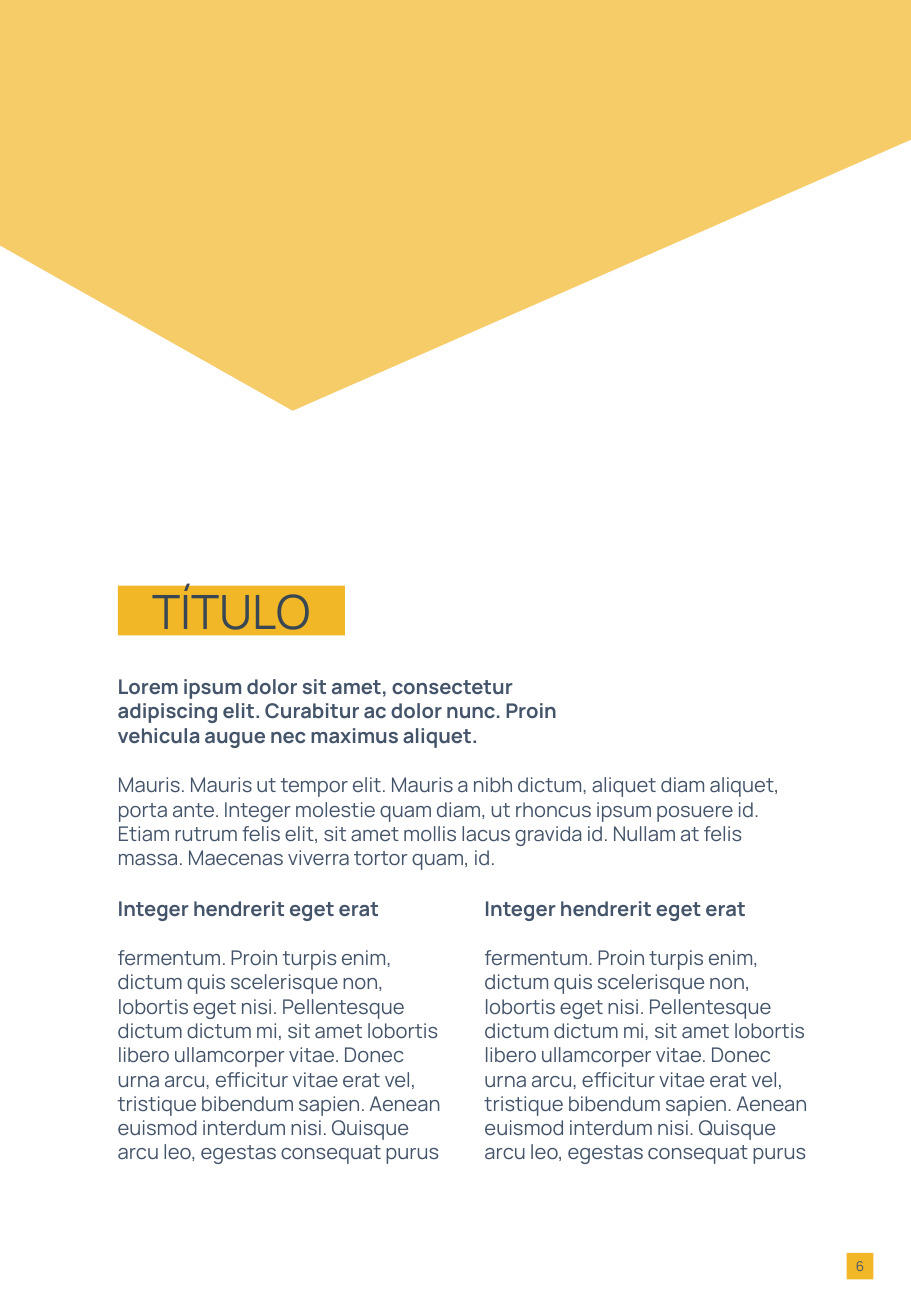
import dataclasses

import lxml.etree
import pptx
import pptx.dml.color
import pptx.enum.shapes
import pptx.enum.text
import pptx.oxml.ns
import pptx.util


@dataclasses.dataclass(frozen=True)
class Theme:
    font: str = "Manrope"
    accent: str = "F1B727"
    title_color: str = "384753"
    body_color: str = "44546A"
    title_size: int = 28
    body_size: int = 12
    number_size: int = 8
    paragraph_gap: float = 14.4
    banner_opacity: int = 70


CELL = pptx.util.Inches(0.1)
COLUMNS, ROWS = 75, 108.3
LEFT_EDGE = 8.7
COLUMN_WIDTH, COLUMN_STEP = 28.8, 30.2
COLUMN_COUNT = 2

LEAD = (
    "Lorem ipsum dolor sit amet, consectetur adipiscing elit. Curabitur ac dolor nunc. "
    "Proin vehicula augue nec maximus aliquet."
)
INTRODUCTION = (
    "Mauris. Mauris ut tempor elit. Mauris a nibh dictum, aliquet diam aliquet, porta ante. "
    "Integer molestie quam diam, ut rhoncus ipsum posuere id. Etiam rutrum felis elit, sit amet "
    "mollis lacus gravida id. Nullam at felis massa. Maecenas viverra tortor quam, id."
)
COLUMN_HEADING = "Integer hendrerit eget erat"
COLUMN_TEXT = (
    "fermentum. Proin turpis enim, dictum quis scelerisque non, lobortis eget nisi. Pellentesque "
    "dictum dictum mi, sit amet lobortis libero ullamcorper vitae. Donec urna arcu, efficitur "
    "vitae erat vel, tristique bibendum sapien. Aenean euismod interdum nisi. Quisque arcu leo, "
    "egestas consequat purus"
)


def rgb(value):
    return pptx.dml.color.RGBColor.from_string(value)


def grid(*cells):
    """Turn grid columns and rows into slide lengths."""
    return [round(cell * CELL) for cell in cells]


def assign(target, values):
    for name, value in values.items():
        setattr(target, name, value)


class Page:
    def __init__(self, slide, theme):
        self.slide = slide
        self.theme = theme

    def paint(self, shape):
        shape.fill.solid()
        shape.fill.fore_color.rgb = rgb(self.theme.accent)
        shape.line.fill.background()

    def fill_paragraph(self, paragraph, text, size, color, bold=False):
        paragraph.text = text
        assign(paragraph.font, {"name": self.theme.font, "size": pptx.util.Pt(size), "bold": bold})
        paragraph.font.color.rgb = rgb(color)

    def label(self, shape, text, size, color):
        self.paint(shape)
        assign(shape.text_frame, {
            "word_wrap": True,
            "auto_size": pptx.enum.text.MSO_AUTO_SIZE.NONE,
            "vertical_anchor": pptx.enum.text.MSO_ANCHOR.MIDDLE,
        })
        paragraph = shape.text_frame.paragraphs[0]
        self.fill_paragraph(paragraph, text, size, color)
        paragraph.alignment = pptx.enum.text.PP_ALIGN.CENTER

    def title(self, text, *cells):
        shape = self.slide.shapes.title
        assign(shape, dict(zip(("left", "top", "width", "height"), grid(*cells))))
        self.label(shape, text, self.theme.title_size, self.theme.title_color)

    def page_number(self, text, *cells):
        shape = self.slide.shapes.add_shape(
            pptx.enum.shapes.MSO_SHAPE.RECTANGLE, *grid(*cells))
        shape.shadow.inherit = False
        margins = ("margin_left", "margin_top", "margin_right", "margin_bottom")
        assign(shape.text_frame, dict.fromkeys(margins, 0))
        self.label(shape, text, self.theme.number_size, self.theme.body_color)

    def text(self, paragraphs, *cells):
        """Add a text box from (text, bold) pairs."""
        frame = self.slide.shapes.add_textbox(*grid(*cells)).text_frame
        assign(frame, {
            "word_wrap": True,
            "auto_size": pptx.enum.text.MSO_AUTO_SIZE.SHAPE_TO_FIT_TEXT,
        })
        for index, (text, bold) in enumerate(paragraphs):
            paragraph = frame.add_paragraph() if index else frame.paragraphs[0]
            self.fill_paragraph(
                paragraph, text, self.theme.body_size, self.theme.body_color, bold)
            if index:
                paragraph.space_before = pptx.util.Pt(self.theme.paragraph_gap)

    def banner(self, points):
        """Add a translucent polygon through the grid points."""
        start, *others = [grid(*point) for point in points]
        builder = self.slide.shapes.build_freeform(*start)
        builder.add_line_segments(others, close=True)
        shape = builder.convert_to_shape()
        shape.shadow.inherit = False
        self.paint(shape)
        color = next(shape.element.spPr.iter(pptx.oxml.ns.qn("a:srgbClr")))
        alpha = lxml.etree.SubElement(color, pptx.oxml.ns.qn("a:alpha"))
        alpha.set("val", str(self.theme.banner_opacity * 1000))


def main():
    presentation = pptx.Presentation()
    width, height = grid(COLUMNS, ROWS)
    assign(presentation, {"slide_width": width, "slide_height": height})
    title_only = presentation.slide_layouts.get_by_name("Title Only")
    page = Page(presentation.slides.add_slide(title_only), Theme())

    page.page_number("6", 69.7, 103.1, 2.2, 2.2)
    page.title("TÍTULO", 9.7, 48.2, 18.7, 4.1)
    page.text([(LEAD, True)], LEFT_EDGE, 55, 40.9, 7.1)
    page.text([(INTRODUCTION, False)], LEFT_EDGE, 63.1, 57.6, 9.1)
    for column in range(COLUMN_COUNT):
        page.text([(COLUMN_HEADING, True), (COLUMN_TEXT, False)],
                  LEFT_EDGE + column * COLUMN_STEP, 73.3, COLUMN_WIDTH, 23.2)
    page.banner([(0, 20.2), (0, 0), (COLUMNS, 0), (COLUMNS, 11.5), (24.1, 33.8)])

    presentation.save("out.pptx")


if __name__ == "__main__":
    main()
